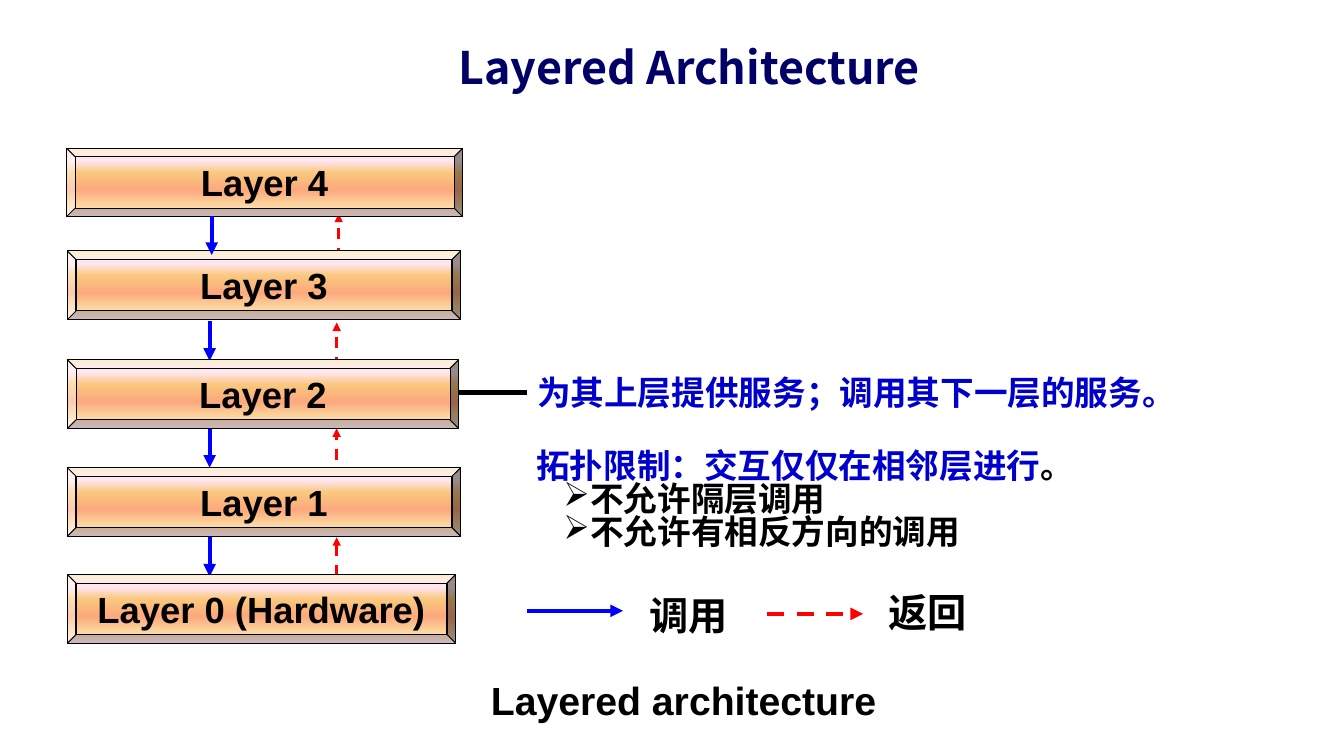
"""Build the layered architecture slide; lengths are percent of the slide's size."""
from dataclasses import dataclass

from lxml.etree import SubElement
from pptx import Presentation
from pptx.dml.color import RGBColor
from pptx.enum.dml import MSO_LINE
from pptx.enum.shapes import MSO_CONNECTOR, MSO_SHAPE
from pptx.enum.text import MSO_ANCHOR, PP_ALIGN
from pptx.oxml.ns import qn
from pptx.shapes.autoshape import Shape
from pptx.shapes.connector import Connector
from pptx.slide import Slide
from pptx.util import Inches, Pt

WIDE, HIGH = Inches(13.33), Inches(7.5)
HUES = {"black": "000000", "navy": "000066", "note": "0000CC",
        "call": "0000FF", "back": "FF0000"}
BLEND = [(0, "FBEAC7"), (18, "FEE7F2"), (36, "FAC77D"),
         (61, "FBA97D"), (82, "FBD49C"), (100, "FEE7F2")]
SANS, HAN = "Arial", "Noto Sans CJK SC"
BAR_HIGH = 9.07


@dataclass
class Bar:
    text: str
    left: float
    top: float
    width: float


@dataclass
class Arrow:
    start: tuple[float, float]
    end: tuple[float, float]
    hue: str
    size: float = 3
    head: bool = True


@dataclass
class Line:
    runs: list[tuple[str, str]]
    bullet: bool = False


@dataclass
class Label:
    box: tuple[float, float, float, float]
    lines: list[Line]
    size: int = 28
    font: str = SANS
    mid: bool = False


BARS = [
    Bar("Layer 1", 5.02, 61.87, 29.25),
    Bar("Layer 2", 5.02, 47.6, 29.1),
    Bar("Layer 3", 5.02, 33.2, 29.25),
    Bar("Layer 0 (Hardware)", 5.02, 76, 28.88),
    Bar("Layer 4", 4.95, 19.6, 29.48),
]
CALLS = [Arrow((15.6, top), (15.6, end), "call")
         for top, end in [(42.4, 47.73), (56.67, 61.87), (71.07, 76.27)]]
BACKS = [Arrow((x, low), (x, top), "back", 2)
         for x, low, top in [(25.2, 34.27, 28.27), (25.05, 48.67, 42.67),
                             (25.05, 63.47, 56.67), (25.05, 78.8, 71.07)]]
KEYS = [Arrow((39.23, 80.8), (46.36, 80.8), "call"),
        Arrow((57.09, 81.2), (64.22, 81.2), "back")]
TOP_CALL = Arrow((15.75, 28.53), (15.75, 33.73), "call")
STUB = Arrow((33.9, 51.9), (39.23, 51.9), "black", 3.75, False)

ROLE = Label((39.23, 48.57, 48.61, 6.66),
             [Line([("为其上层提供服务；调用其下一层的服务。", "note")])], 24, HAN)
LABELS = [
    Label((28.13, 88.8, 45.46, 7.6), [Line([("Layered architecture", "black")])], mid=True),
    Label((47.56, 77.47, 7.65, 7.6), [Line([("调用", "black")])]),
    Label((65.34, 77.07, 7.65, 7.6), [Line([("返回", "black")])]),
    Label((26.41, 3.73, 49.74, 10.27), [Line([("Layered Architecture", "navy")])],
          32, HAN, True),
    Label((39.16, 57.6, 50.04, 17.47), [
        Line([("拓扑限制：交互仅仅在相邻层进行", "note"), ("。", "black")]),
        Line([("不允许隔层调用", "black")], True),
        Line([("不允许有相反方向的调用", "black")], True)], 24, HAN),
]


def across(share: float) -> int:
    return round(WIDE * share / 100)


def down(share: float) -> int:
    return round(HIGH * share / 100)


def paint(name: str) -> RGBColor:
    return RGBColor.from_string(HUES[name])


def draw_bar(slide: Slide, bar: Bar) -> None:
    shape = slide.shapes.add_shape(MSO_SHAPE.BEVEL, across(bar.left), down(bar.top),
                                   across(bar.width), down(BAR_HIGH))
    shape.shadow.inherit = False
    shape.adjustments[0] = 0.125
    shape.fill.gradient()
    shape.fill.gradient_angle = 270
    stops = shape._element.spPr.find(qn("a:gradFill")).find(qn("a:gsLst"))
    for stop in list(stops):
        stops.remove(stop)
    for share, hue in BLEND:
        stop = SubElement(stops, qn("a:gs"), pos=str(share * 1000))
        SubElement(stop, qn("a:srgbClr"), val=hue)
    shape.line.color.rgb = paint("black")
    shape.line.width = Pt(0.75)
    frame = shape.text_frame
    frame.word_wrap = False
    frame.vertical_anchor = MSO_ANCHOR.MIDDLE
    para = frame.paragraphs[0]
    para.text = bar.text
    para.alignment = PP_ALIGN.CENTER
    font = para.font
    font.name, font.size, font.bold = SANS, Pt(26), True
    font.color.rgb = paint("black")


def draw_arrow(slide: Slide, arrow: Arrow) -> Connector:
    (left, top), (right, low) = arrow.start, arrow.end
    link = slide.shapes.add_connector(MSO_CONNECTOR.STRAIGHT, across(left), down(top),
                                      across(right), down(low))
    link.line.color.rgb = paint(arrow.hue)
    link.line.width = Pt(arrow.size)
    if arrow.hue == "back":
        link.line.dash_style = MSO_LINE.DASH
    if arrow.head:
        SubElement(link.line._get_or_add_ln(), qn("a:tailEnd"), type="triangle")
    SubElement(link._element.spPr, qn("a:effectLst"))
    return link


def draw_label(slide: Slide, label: Label) -> Shape:
    left, top, width, height = label.box
    box = slide.shapes.add_textbox(across(left), down(top), across(width), down(height))
    frame = box.text_frame
    frame.word_wrap = True
    frame.vertical_anchor = MSO_ANCHOR.MIDDLE
    for spot, line in enumerate(label.lines):
        para = frame.add_paragraph() if spot else frame.paragraphs[0]
        para.alignment = PP_ALIGN.CENTER if label.mid else PP_ALIGN.LEFT
        if len(label.lines) > 1:
            para.line_spacing = 0.83
        font = para.font
        font.name, font.size, font.bold = label.font, Pt(label.size), True
        if line.bullet:
            props = para._p.get_or_add_pPr()
            props.set("marL", str(Inches(0.27)))
            props.set("indent", "0")
            mark = SubElement(props, qn("a:buChar"), char="➢")
            props.find(qn("a:defRPr")).addprevious(mark)
        for text, hue in line.runs:
            run = para.add_run()
            run.text = text
            run.font.color.rgb = paint(hue)
            SubElement(run._r.get_or_add_rPr(), qn("a:ea"), typeface=HAN)
    return box


def main() -> None:
    deck = Presentation()
    deck.slide_width, deck.slide_height = WIDE, HIGH
    slide = deck.slides.add_slide(deck.slide_layouts[6])
    role = draw_label(slide, ROLE)
    draw_arrow(slide, STUB).end_connect(role, 1)
    for arrow in BACKS + CALLS + KEYS:
        draw_arrow(slide, arrow)
    for bar in BARS:
        draw_bar(slide, bar)
    draw_arrow(slide, TOP_CALL)
    for label in LABELS:
        draw_label(slide, label)
    deck.save("out.pptx")


if __name__ == "__main__":
    main()
